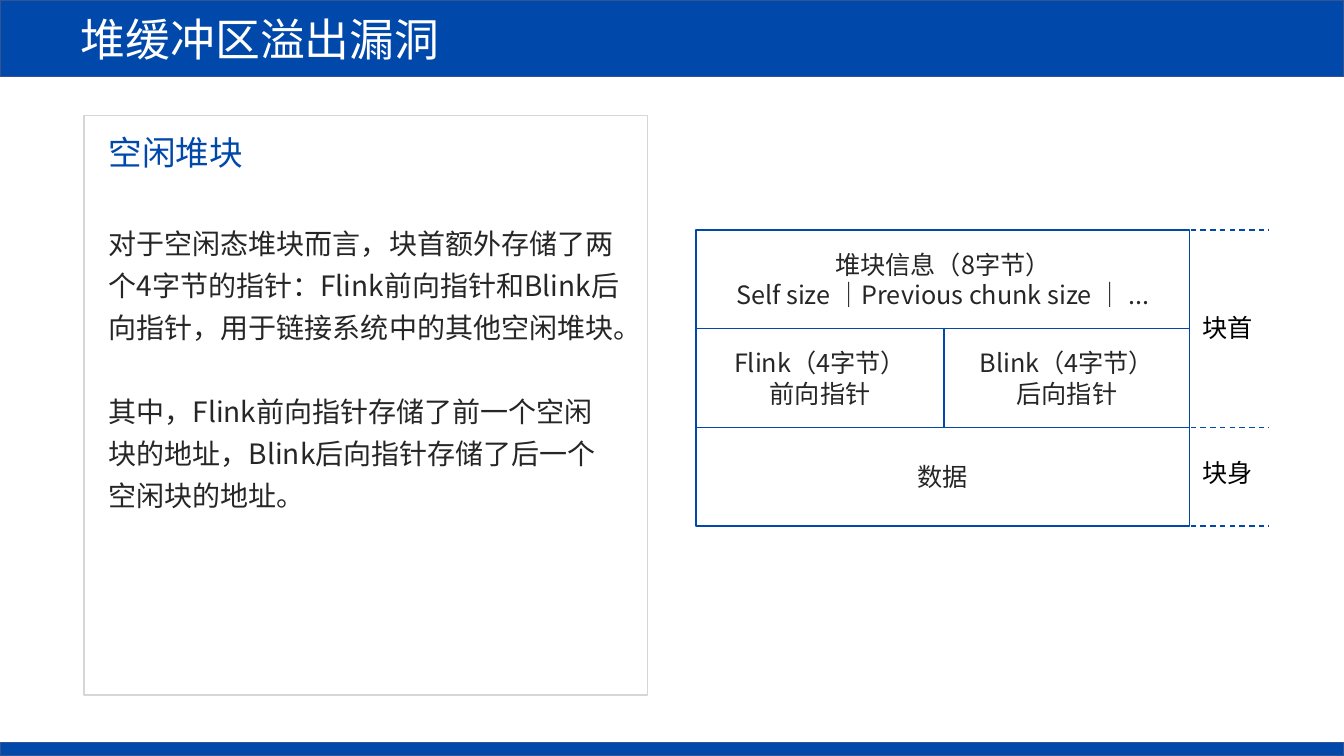
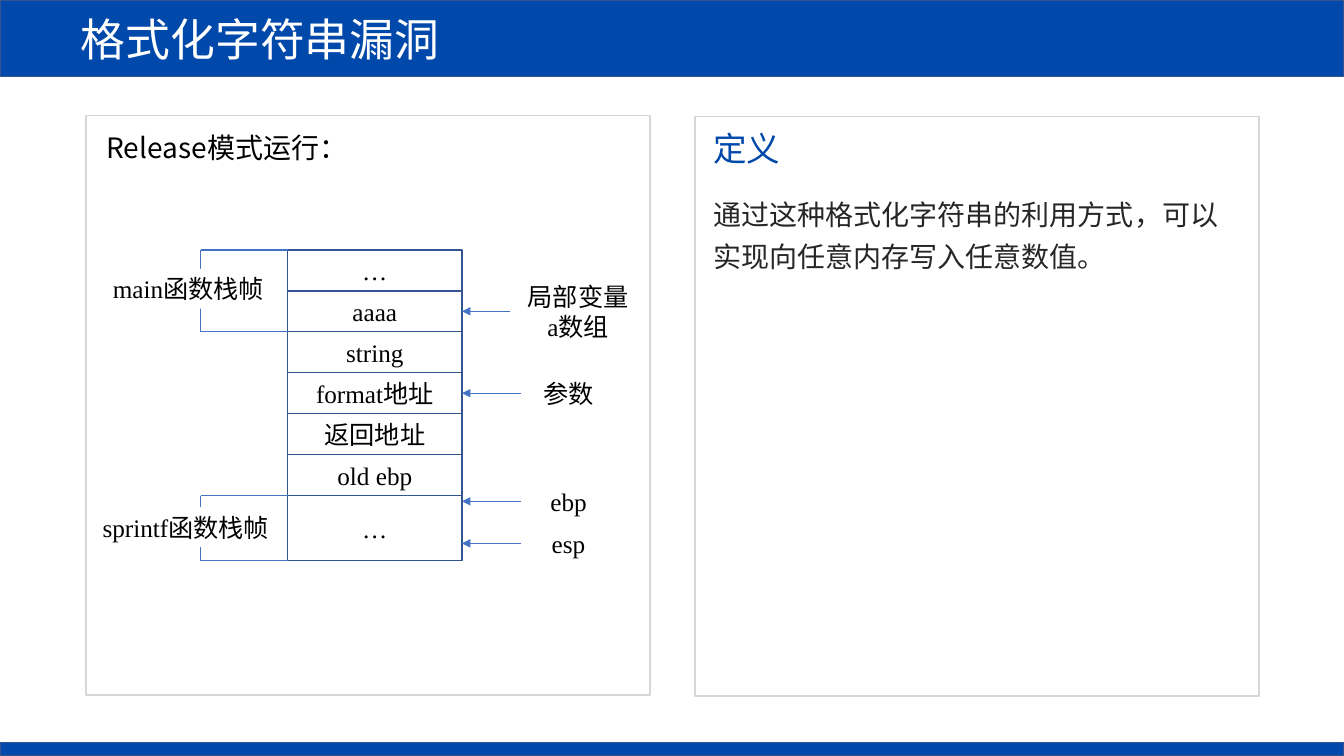
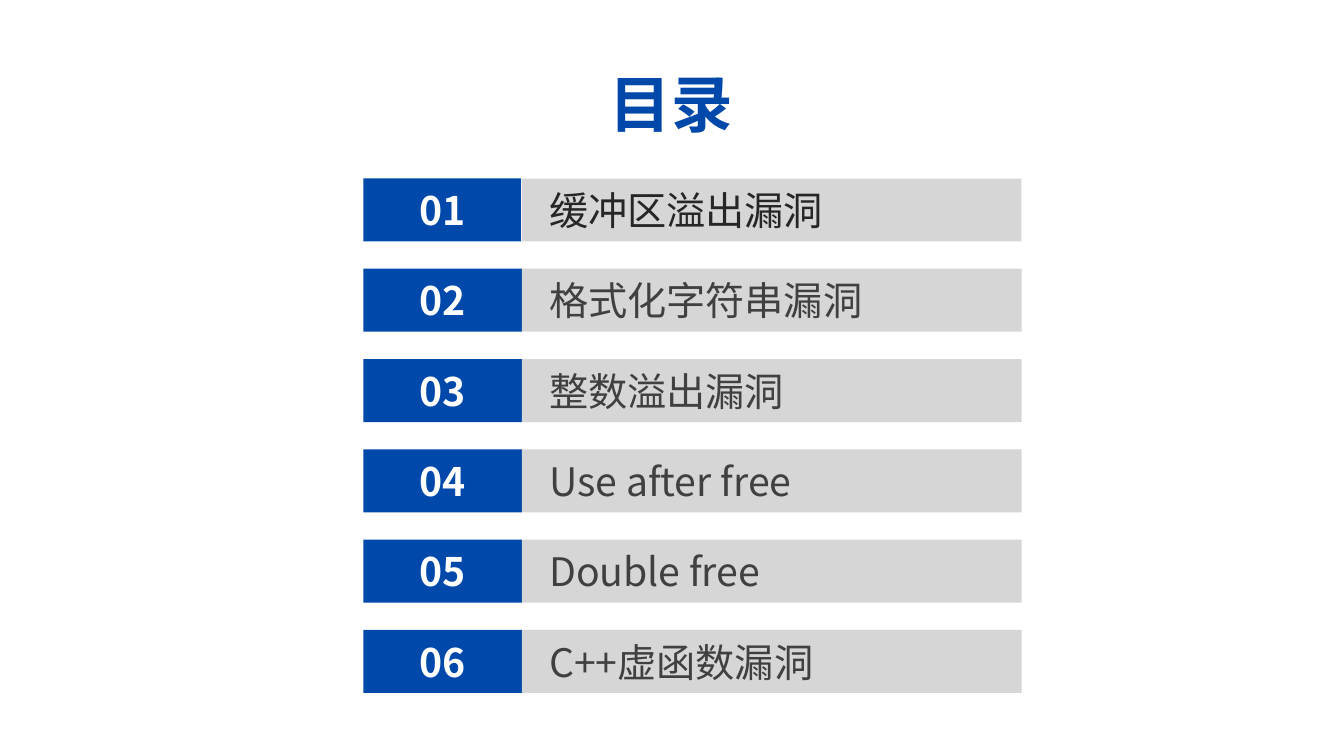
from lxml import etree
from pptx import Presentation
from pptx.dml.color import RGBColor
from pptx.enum.dml import MSO_LINE
from pptx.enum.shapes import MSO_CONNECTOR, MSO_SHAPE
from pptx.enum.text import MSO_ANCHOR, MSO_AUTO_SIZE, PP_ALIGN
from pptx.oxml.ns import qn
from pptx.util import Pt

RECTANGLE = MSO_SHAPE.RECTANGLE
STRAIGHT = MSO_CONNECTOR.STRAIGHT
DASH = MSO_LINE.DASH
MIDDLE, TOP = MSO_ANCHOR.MIDDLE, MSO_ANCHOR.TOP
LEFT, CENTER = PP_ALIGN.LEFT, PP_ALIGN.CENTER
GROW = MSO_AUTO_SIZE.SHAPE_TO_FIT_TEXT

EMU_PER_PX = 9525
PAGE_WIDTH, PAGE_HEIGHT = 1280, 720
BLUE, NAVY, SKY = "0048AA", "325491", "4472C4"
WHITE, PALE, SILVER = "FFFFFF", "F2F2F2", "D6D6D6"
BLACK, INK, GRAY = "000000", "262626", "404040"
SANS, SERIF = "Noto Sans CJK SC", "Times New Roman"
LEFT_SIDE, RIGHT_SIDE = 1, 3


def px(length):
    return int(length * EMU_PER_PX)


def color(code):
    return RGBColor.from_string(code)


def write(frame, lines, size, ink, font=SANS, bold=False, align=LEFT, spacing=None, gap=0):
    for index, line in enumerate(lines):
        para = frame.paragraphs[0] if index == 0 else frame.add_paragraph()
        para.alignment = align
        if spacing:
            para.line_spacing = spacing
        if index and gap:
            para.space_before = Pt(gap)
        span = para.add_run()
        span.text = line
        span.font.size = Pt(size)
        span.font.name = font
        span.font.bold = bold
        span.font.color.rgb = color(ink)
        east_asian = etree.SubElement(span.font._element, qn("a:ea"))
        east_asian.set("typeface", SANS)


def add_box(page, left, top, width, height, fill=None, line=None, weight=1,
            lines=(), inset=0, size=18, ink=BLACK, **style):
    box = page.shapes.add_shape(RECTANGLE, px(left), px(top), px(width), px(height))
    box.shadow.inherit = False
    if fill:
        box.fill.solid()
        box.fill.fore_color.rgb = color(fill)
    else:
        box.fill.background()
    if line:
        box.line.color.rgb = color(line)
        box.line.width = Pt(weight)
    else:
        box.line.fill.background()
    frame = box.text_frame
    frame.word_wrap = True
    frame.vertical_anchor = MIDDLE
    frame.margin_left, frame.margin_right = px(inset), 0
    write(frame, lines, size, ink, **style)
    return box


def add_text(page, left, top, width, height, lines, size, ink, wrap=False, **style):
    box = page.shapes.add_textbox(px(left), px(top), px(width), px(height))
    frame = box.text_frame
    frame.word_wrap = wrap
    frame.auto_size = GROW
    frame.vertical_anchor = TOP
    write(frame, lines, size, ink, **style)


def add_line(page, start, end, ink, weight=1):
    line = page.shapes.add_connector(STRAIGHT, *map(px, start + end))
    line.line.color.rgb = color(ink)
    line.line.width = Pt(weight)
    etree.SubElement(line._element.spPr, qn("a:effectLst"))
    return line


def add_page(deck):
    return deck.slides.add_slide(deck.slide_layouts[6])


def add_content_page(deck, title):
    page = add_page(deck)
    add_box(page, 0, 0, PAGE_WIDTH, 73, BLUE, NAVY, lines=[title], inset=77, size=32, ink=WHITE)
    add_box(page, 0, 707, PAGE_WIDTH, 13, BLUE, NAVY)
    return page


def add_panel(page, left, top):
    add_box(page, left, top, 537, 552, line=SILVER)


def add_article(page, left, top, heading, body, body_offset, body_height):
    add_text(page, left, top, 24 * len(heading) * 4 // 3 + 20, 48, [heading], 24, BLUE)
    add_text(page, left, top + body_offset, 507, body_height, body, 20, INK,
             wrap=True, spacing=1.25, gap=30)


def add_heap_chunk(page, left, top):
    width, row, split = 470, 94, 236
    right = left + width
    cells = [
        (0, 0, width, ["堆块信息（8字节）", "Self size ｜Previous chunk size ｜ ..."]),
        (0, 2, width, ["数据"]),
        (0, 1, split, ["Flink（4字节）", "前向指针"]),
        (split, 1, width - split, ["Blink（4字节）", "后向指针"]),
    ]
    for offset, index, cell_width, lines in cells:
        add_box(page, left + offset, top + index * row, cell_width, row,
                line=BLUE, lines=lines, ink=INK, align=CENTER)
    for index in (0, 2, 3):
        y = top + index * row
        border = add_line(page, (right + 1, y), (right + 76, y), BLUE)
        border.line.dash_style = DASH
    for offset, label in ((74, "块首"), (212, "块身")):
        add_text(page, right + 3, top + offset, 68, 44, [label], 18, BLACK)


def add_label(page, left, top, width, height, lines):
    return add_box(page, left, top, width, height, WHITE, lines=lines, font=SERIF, align=CENTER)


def add_bracket(page, stack_left, top, bottom, label_box, label):
    spine = stack_left - 83
    for y in (top, bottom):
        add_line(page, (stack_left, y), (spine, y), SKY)
    add_line(page, (spine, top), (spine, bottom), SKY)
    add_label(page, *label_box, [label])


def add_pointer(page, stack_right, label_box, lines, cell=None):
    left, top, width, height = label_box
    label = add_label(page, *label_box, lines)
    y = top + height / 2
    arrow = add_line(page, (left, y), (stack_right, y), SKY, 0.5)
    arrow.begin_connect(label, LEFT_SIDE)
    if cell is not None:
        arrow.end_connect(cell, RIGHT_SIDE)
    etree.SubElement(arrow.line._get_or_add_ln(), qn("a:tailEnd")).set("type", "triangle")


def add_call_stack(page, left, top):
    width, row, last_row = 166, 39, 62
    right = left + width
    names = ["…", "aaaa", "string", "format地址", "返回地址", "old ebp", "…"]
    last = len(names) - 1
    frame_top = top + last * row
    cells = [
        add_box(page, left, top + index * row, width, last_row if index == last else row,
                line=NAVY, lines=[name], font=SERIF, align=CENTER)
        for index, name in enumerate(names)
    ]
    add_bracket(page, left, top, top + 2 * row, (left - 181, top + 18, 173, 38), "main函数栈帧")
    add_bracket(page, left, frame_top, frame_top + last_row,
                (left - 189, frame_top + 11, 184, 38), "sprintf函数栈帧")
    add_pointer(page, right, (right + 46, top + 31, 129, 55), ["局部变量", "a数组"], cells[1])
    add_pointer(page, right, (right + 56, top + 3 * row, 91, row), ["参数"], cells[3])
    for offset, register in ((-14, "ebp"), (26, "esp")):
        add_pointer(page, right, (right + 56, frame_top + offset, 91, row), [register])


def add_contents_row(page, left, top, number, topic, current):
    add_box(page, left, top, 151, 60, BLUE, lines=[f"{number:02d}"],
            size=28, ink=WHITE, bold=True, align=CENTER)
    add_box(page, left + 151, top, 476, 60, SILVER, PALE if current else None, 0.5,
            lines=[topic], inset=26, size=28, ink=INK if current else GRAY)


def build_heap_page(deck):
    page = add_content_page(deck, "堆缓冲区溢出漏洞")
    add_panel(page, 80, 110)
    body = [
        "对于空闲态堆块而言，块首额外存储了两个4字节的指针：Flink前向指针和Blink后向指针，用于链接系统中的其他空闲堆块。",
        "其中，Flink前向指针存储了前一个空闲块的地址，Blink后向指针存储了后一个空闲块的地址。",
    ]
    add_article(page, 94, 121, "空闲堆块", body, 82, 329)
    add_heap_chunk(page, 663, 219)


def build_format_page(deck):
    page = add_content_page(deck, "格式化字符串漏洞")
    add_panel(page, 82, 110)
    add_panel(page, 662, 111)
    add_text(page, 92, 120, 252, 42, ["Release模式运行："], 20, BLACK)
    add_call_stack(page, 274, 238)
    body = ["通过这种格式化字符串的利用方式，可以实现向任意内存写入任意数值。"]
    add_article(page, 670, 117, "定义", body, 58, 86)


def build_contents_page(deck):
    page = add_page(deck)
    add_text(page, 571, 58, 138, 81, ["目录"], 44, BLUE, bold=True)
    topics = ["缓冲区溢出漏洞", "格式化字符串漏洞", "整数溢出漏洞",
              "Use after free", "Double free", "C++虚函数漏洞"]
    for index, topic in enumerate(topics):
        add_contents_row(page, 346, 170 + index * 86, index + 1, topic, index == 0)


def main():
    deck = Presentation()
    deck.slide_width, deck.slide_height = px(PAGE_WIDTH), px(PAGE_HEIGHT)
    build_heap_page(deck)
    build_format_page(deck)
    build_contents_page(deck)
    deck.save("out.pptx")


if __name__ == "__main__":
    main()
